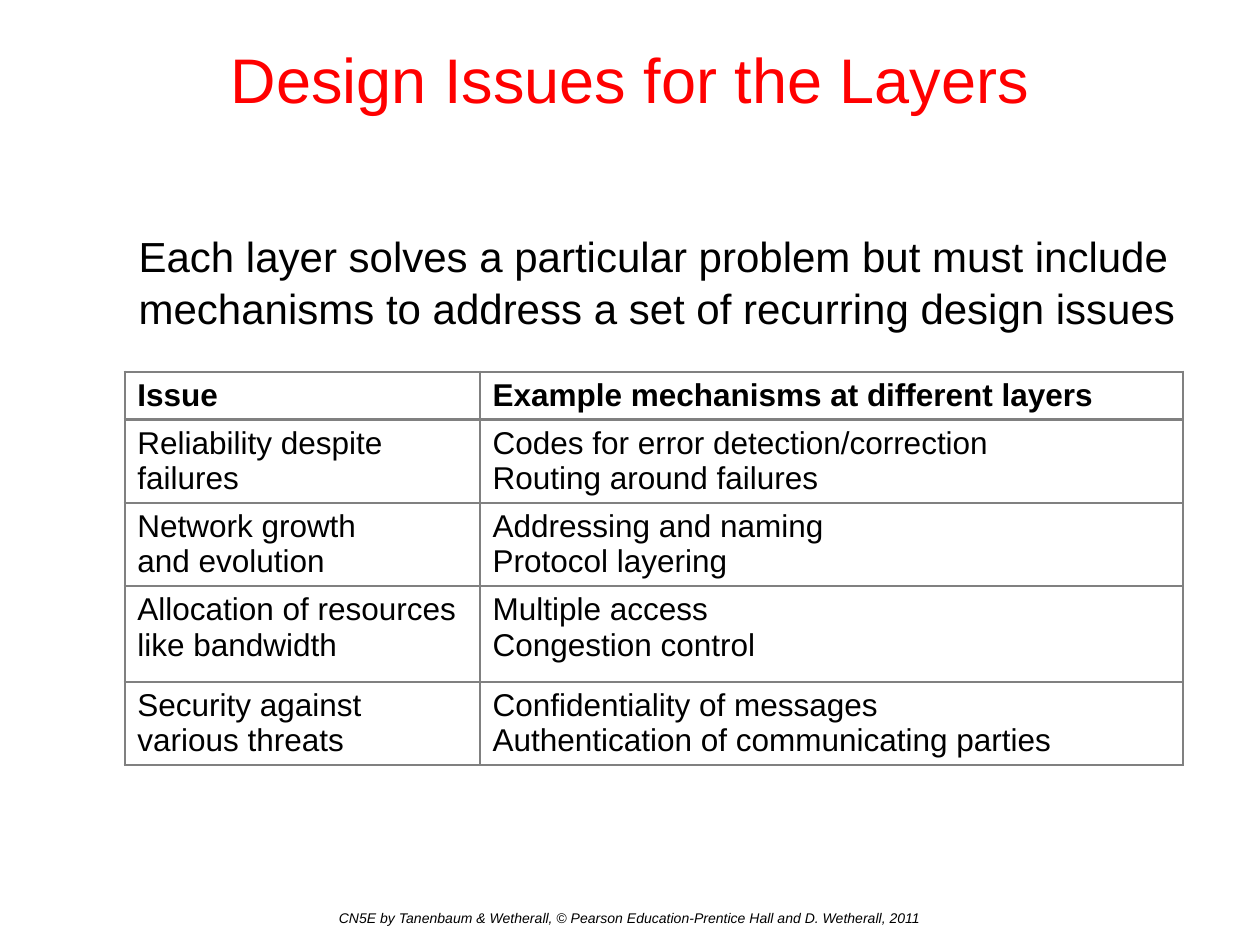
import dataclasses

import lxml.etree
import pptx
import pptx.dml.color
import pptx.enum.text
import pptx.oxml.ns
import pptx.util


@dataclasses.dataclass(frozen=True)
class Theme:
    """Colours, type sizes and page measures of the deck."""

    font: str = "Arial"
    title_color: str = "FF0000"
    text_color: str = "000000"
    border_color: str = "808080"
    title_size: int = 36
    body_size: int = 24
    table_size: int = 18
    footer_size: int = 8
    border_width: float = 1.5
    page_width: float = 10
    page_height: float = 7.5


THEME = Theme()
COLUMN_WIDTHS = [2.82, 5.58]
ROW_HEIGHTS = [0.3, 0.53, 0.53, 0.76, 0.53]
TABLE_AREA = (0.99, 2.95, sum(COLUMN_WIDTHS), 3.26)
ISSUES = [
    (["Issue"], ["Example mechanisms at different layers"]),
    (["Reliability despite failures"],
     ["Codes for error detection/correction", "Routing around failures"]),
    (["Network growth\vand evolution"],
     ["Addressing and naming", "Protocol layering"]),
    (["Allocation of resources like bandwidth"],
     ["Multiple access", "Congestion control"]),
    (["Security against various threats"],
     ["Confidentiality of messages", "Authentication of communicating parties"]),
]


def inches(values):
    """Convert several lengths to inches."""
    return [pptx.util.Inches(value) for value in values]


def place(shape, area):
    """Move and size a shape to left, top, width and height."""
    shape.left, shape.top, shape.width, shape.height = inches(area)


def add_span(para, text, size, color=THEME.text_color, bold=False, italic=False):
    """Add a formatted run to a paragraph, breaking lines at vertical tabs."""
    for index, line in enumerate(text.split("\v")):
        if index:
            para.add_line_break()
        span = para.add_run()
        span.text = line
        span.font.name = THEME.font
        span.font.size = pptx.util.Pt(size)
        span.font.bold = bold
        span.font.italic = italic
        span.font.color.rgb = pptx.dml.color.RGBColor.from_string(color)


def prepare_frame(shape, anchor):
    """Set wrapping and anchoring, and return the first paragraph."""
    frame = shape.text_frame
    frame.word_wrap = True
    frame.auto_size = pptx.enum.text.MSO_AUTO_SIZE.NONE
    frame.vertical_anchor = anchor
    return frame.paragraphs[0]


def add_title(page, text):
    """Fill the title placeholder across the top of the page."""
    title = page.shapes.title
    place(title, (0, 0, THEME.page_width, THEME.page_height / 6))
    para = prepare_frame(title, pptx.enum.text.MSO_ANCHOR.MIDDLE)
    para.alignment = pptx.enum.text.PP_ALIGN.CENTER
    add_span(para, text, THEME.title_size, THEME.title_color)


def add_body(page, text):
    """Fill the body placeholder with an unbulleted paragraph."""
    body = page.placeholders[1]
    place(body, (1, 1.76, 8.52, 5.03))
    para = prepare_frame(body, pptx.enum.text.MSO_ANCHOR.TOP)
    properties = para._p.get_or_add_pPr()
    properties.set("marL", "0")
    properties.set("indent", "0")
    lxml.etree.SubElement(properties, pptx.oxml.ns.qn("a:buNone"))
    para.space_before = pptx.util.Pt(0)
    para.line_spacing = 1.04
    add_span(para, text, THEME.body_size)


def add_footer(page, text):
    """Add the centred copyright line at the foot of the page."""
    height = 0.33
    area = (0, THEME.page_height - height, THEME.page_width, height)
    box = page.shapes.add_textbox(*inches(area))
    para = prepare_frame(box, pptx.enum.text.MSO_ANCHOR.TOP)
    para.alignment = pptx.enum.text.PP_ALIGN.CENTER
    add_span(para, text, THEME.footer_size, italic=True)


def add_borders(cell):
    """Draw a solid line on all four sides of a cell."""
    properties = cell._tc.get_or_add_tcPr()
    qn = pptx.oxml.ns.qn
    for index, side in enumerate(("lnL", "lnR", "lnT", "lnB")):
        line = lxml.etree.Element(qn(f"a:{side}"))
        line.set("w", str(pptx.util.Pt(THEME.border_width)))
        fill = lxml.etree.SubElement(line, qn("a:solidFill"))
        lxml.etree.SubElement(fill, qn("a:srgbClr")).set("val", THEME.border_color)
        properties.insert(index, line)


def fill_cell(cell, lines, bold):
    """Write one paragraph per line in a clear, bordered cell."""
    cell.fill.background()
    add_borders(cell)
    for index, line in enumerate(lines):
        frame = cell.text_frame
        para = frame.add_paragraph() if index else frame.paragraphs[0]
        add_span(para, line, THEME.table_size, bold=bold)


def add_issue_table(page):
    """Add the table of design issues and example mechanisms."""
    holder = page.shapes.add_table(
        len(ROW_HEIGHTS), len(COLUMN_WIDTHS), *inches(TABLE_AREA))
    table = holder.table
    table.first_row = table.horz_banding = False
    for column, width in zip(table.columns, inches(COLUMN_WIDTHS)):
        column.width = width
    for row, height in zip(table.rows, inches(ROW_HEIGHTS)):
        row.height = height
    place(holder, TABLE_AREA)
    for row_index, issue in enumerate(ISSUES):
        for column_index, lines in enumerate(issue):
            fill_cell(table.cell(row_index, column_index), lines, row_index == 0)


def main():
    """Build and save the deck."""
    deck = pptx.Presentation()
    deck.slide_width, deck.slide_height = inches(
        (THEME.page_width, THEME.page_height))
    page = deck.slides.add_slide(deck.slide_layouts[1])
    add_title(page, "Design Issues for the Layers")
    add_footer(page, "CN5E by Tanenbaum & Wetherall, © Pearson "
                     "Education-Prentice Hall and D. Wetherall, 2011")
    add_body(page, "Each layer solves a particular problem but must include "
                   "mechanisms to address a set of recurring design issues")
    add_issue_table(page)
    deck.save("out.pptx")


if __name__ == "__main__":
    main()
